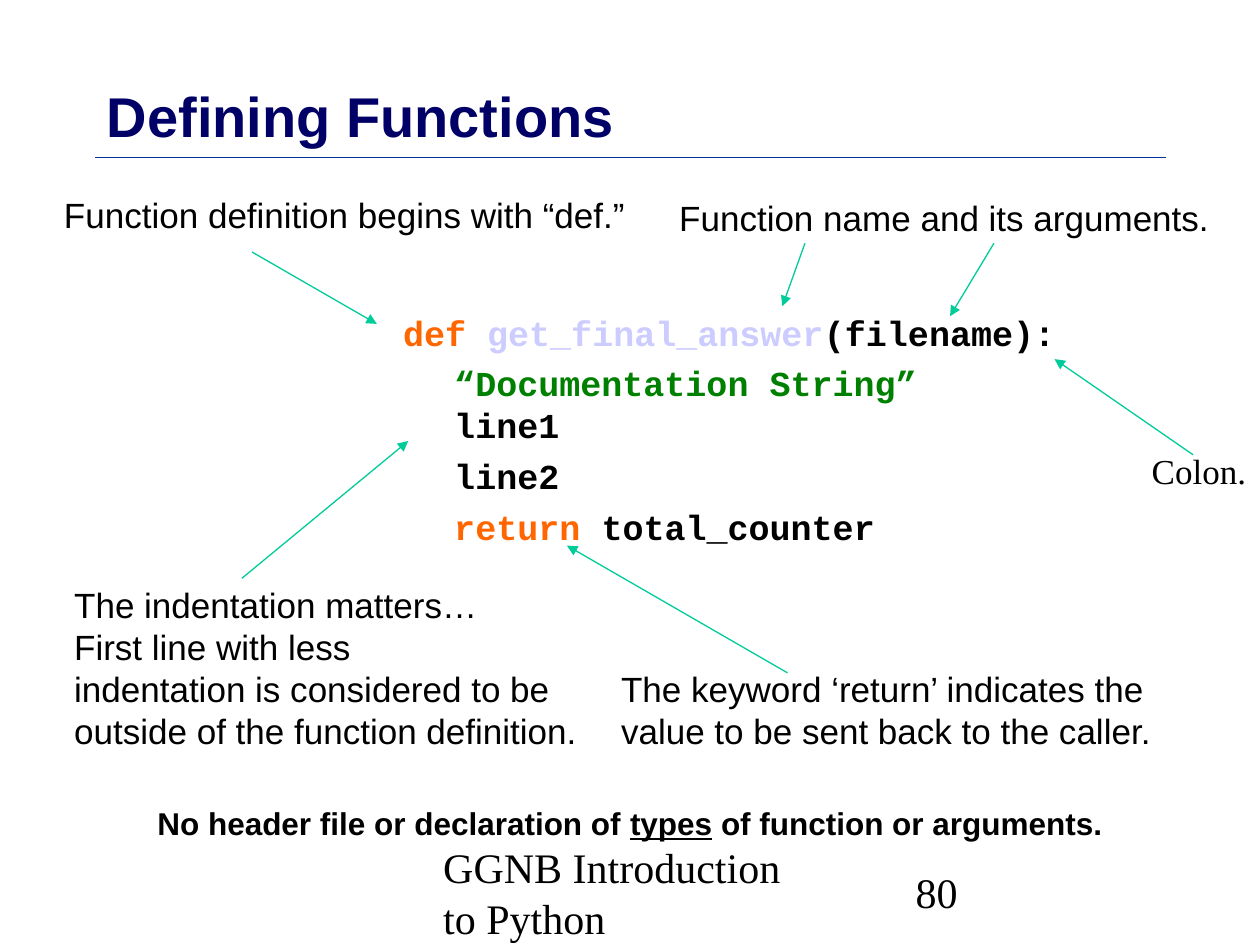
from lxml.etree import SubElement
from pptx import Presentation
from pptx.dml.color import RGBColor
from pptx.enum.shapes import MSO_CONNECTOR as Connector
from pptx.enum.text import MSO_ANCHOR as Anchor, PP_ALIGN as Align
from pptx.oxml.ns import qn
from pptx.util import Pt

COLORS = {
    "text": "000000", "title": "000066", "rule": "003399", "arrow": "00CC99",
    "keyword": "FF6600", "name": "CCCCFF", "string": "008000",
}
SANS, SERIF, MONO = "Arial", "Times New Roman", "Courier New"


def add_text_box(slide, box, wrap=True, anchor=Anchor.TOP):
    shape = slide.shapes.add_textbox(*(Pt(value) for value in box))
    frame = shape.text_frame
    frame.word_wrap = wrap
    frame.vertical_anchor = anchor
    return frame


def add_run(paragraph, text, size, font=SANS, color="text", bold=False, underline=False):
    # Break lines inside a paragraph without starting a new one
    for index, part in enumerate(text.split("\n")):
        if index:
            paragraph.add_line_break()
        run = paragraph.add_run()
        run.text = part
        run.font.name = font
        run.font.size = Pt(size)
        run.font.bold = bold
        run.font.underline = underline
        run.font.color.rgb = RGBColor.from_string(COLORS[color])


def add_line(slide, start, end, color, width, arrow=False):
    line = slide.shapes.add_connector(
        Connector.STRAIGHT, *(Pt(value) for value in (*start, *end)))
    line.line.color.rgb = RGBColor.from_string(COLORS[color])
    line.line.width = Pt(width)
    properties = line._element.spPr
    if arrow:
        SubElement(properties.find(qn("a:ln")), qn("a:tailEnd"), type="triangle")
    SubElement(properties, qn("a:effectLst"))


def add_title(slide, box):
    left, top, width, height = box
    bottom = top + height + 1.5
    add_line(slide, (left, bottom), (left + width, bottom), "rule", 1)
    frame = add_text_box(slide, box, anchor=Anchor.MIDDLE)
    add_run(frame.paragraphs[0], "Defining Functions", 32, color="title", bold=True)


def add_code(slide, box):
    # Each line: left margin, then its coloured parts
    outer, inner = 72.7, 102
    lines = [
        (outer, [("def ", "keyword"), ("get_final_answer", "name"), ("(filename):", "text")]),
        (inner, [("“Documentation String”", "string"), ("\nline1", "text")]),
        (inner, [("line2", "text")]),
        (inner, [("return", "keyword"), (" total_counter", "text")]),
    ]
    frame = add_text_box(slide, box)
    for index, (margin, parts) in enumerate(lines):
        paragraph = frame.add_paragraph() if index else frame.paragraphs[0]
        if index:
            paragraph.space_before = Pt(5)
        paragraph._p.get_or_add_pPr().set("marL", str(Pt(margin)))
        for text, color in parts:
            add_run(paragraph, text, 20, MONO, color, bold=True)


def add_callout(slide, box, paragraphs, arrows, font=SANS):
    # Arrow ends are measured from the corner of the box
    left, top = box[:2]
    frame = add_text_box(slide, box, wrap=False)
    for index, text in enumerate(paragraphs):
        paragraph = frame.add_paragraph() if index else frame.paragraphs[0]
        add_run(paragraph, text, 20, font)
    for x1, y1, x2, y2 in arrows:
        add_line(slide, (left + x1, top + y1), (left + x2, top + y2), "arrow", 0.75, True)


def add_remark(slide, box):
    paragraph = add_text_box(slide, box).paragraphs[0]
    paragraph.alignment = Align.CENTER
    add_run(paragraph, "No header file or declaration of ", 18, bold=True)
    add_run(paragraph, "types", 18, bold=True, underline=True)
    add_run(paragraph, " of function or arguments.", 18, bold=True)


def add_footer(slide, box, text):
    frame = add_text_box(slide, box, anchor=Anchor.MIDDLE)
    add_run(frame.paragraphs[0], text, 24, SERIF)


def main():
    presentation = Presentation()
    presentation.slide_width, presentation.slide_height = Pt(720), Pt(540)
    slide = presentation.slides.add_slide(presentation.slide_layouts[6])

    add_title(slide, (54, 43, 612, 45.5))
    add_code(slide, (150.5, 174.2, 509.8, 108))

    # Callouts around the code
    add_callout(slide, (29.5, 107.3, 335.5, 31), ["Function definition begins with “def.”"],
                [(114.5, 36.7, 185.8, 77.8)])
    add_callout(slide, (381, 108.7, 317.5, 31), ["Function name and its arguments."],
                [(79, 30.3, 66.1, 66.3), (187, 30.3, 161.9, 72)])
    add_callout(slide, (651, 253.4, 68.4, 31), ["Colon."],
                [(30.8, 6.5, -48.4, -48.2)], SERIF)
    add_callout(slide, (35.3, 329.8, 301.7, 103.7),
                ["The indentation matters…",
                 "First line with less\nindentation is considered to be\n"
                 "outside of the function definition."],
                [(102.9, 0.7, 198, -77.8)])
    add_callout(slide, (347.8, 378, 319.7, 55.4),
                ["The keyword ‘return’ indicates the\nvalue to be sent back to the caller."],
                [(102.2, 6.5, -23.8, -66.2)])

    # Closing remark and footer
    add_remark(slide, (36, 455.8, 648, 30.2))
    add_footer(slide, (246.2, 491.8, 227.5, 36), "GGNB Introduction to Python")
    add_footer(slide, (516.2, 477.4, 149, 64.8), "80")

    presentation.save("out.pptx")


if __name__ == "__main__":
    main()
